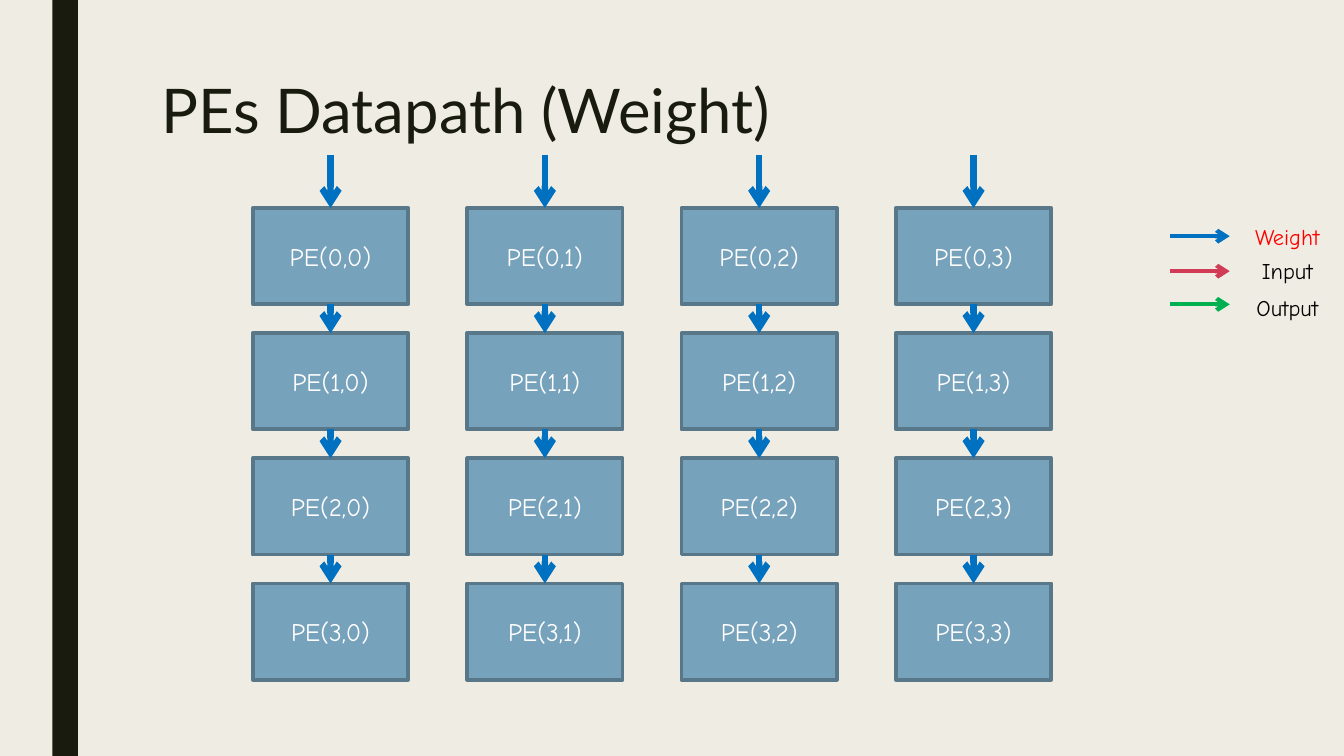
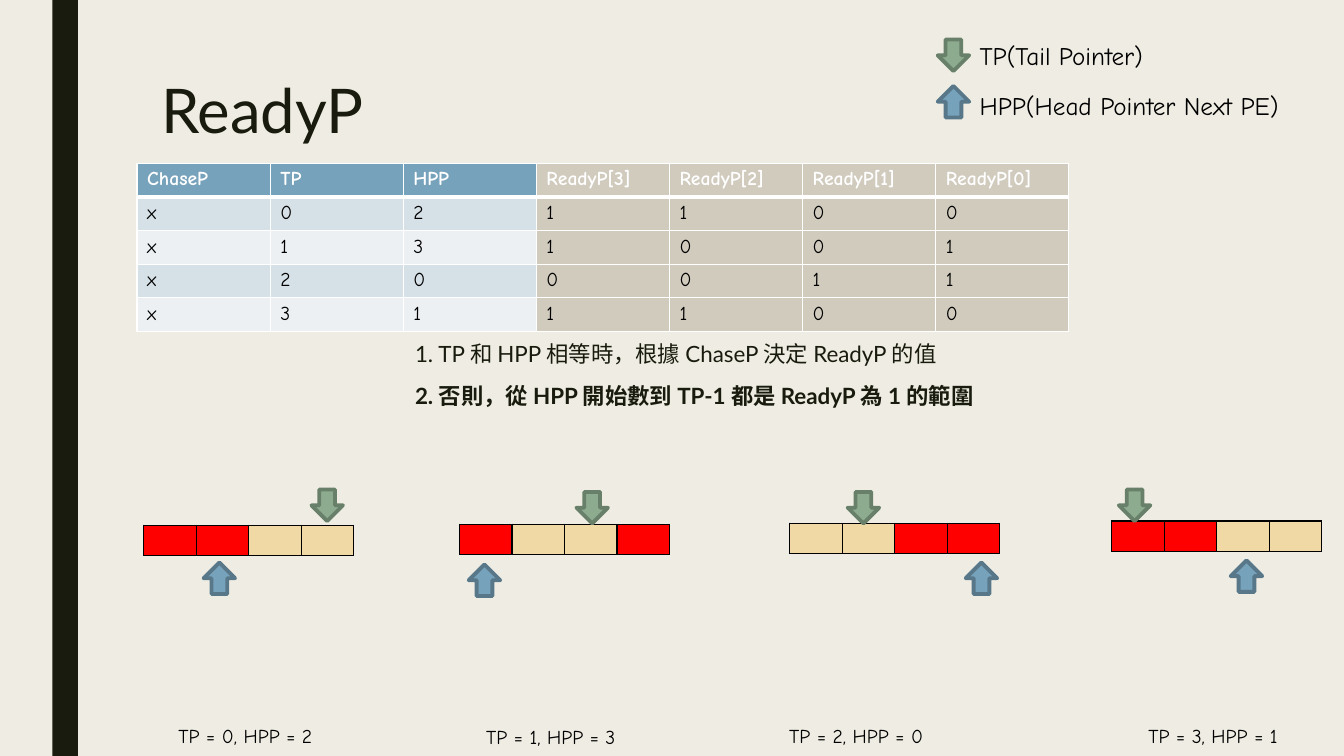
from dataclasses import dataclass
from itertools import product
from typing import NamedTuple

from pptx import Presentation
from pptx.dml.color import RGBColor
from pptx.enum.shapes import MSO_CONNECTOR as Connector, MSO_SHAPE as Preset
from pptx.enum.text import MSO_ANCHOR as Anchor, PP_ALIGN as Align
from pptx.oxml.ns import qn
from pptx.util import Pt
from lxml.etree import SubElement, Element


@dataclass(frozen=True)
class Theme:
    paper: str = "EFEDE3"
    ink: str = "191B0E"
    black: str = "000000"
    white: str = "FFFFFF"
    red: str = "FF0000"
    blue: str = "77A2BB"
    blue_edge: str = "58788A"
    green: str = "8DAB8E"
    green_edge: str = "687F69"
    weight: str = "0070C0"
    input: str = "D13B56"
    output: str = "00B050"
    stone: str = "D1CBBE"
    sand: str = "F0D9A5"
    stripes: tuple = ("D6E0E7", "ECF0F3")
    heading_font: str = "Lato"
    label_font: str = "Comic Neue"
    title_size: float = 44
    label_size: float = 18
    note_size: float = 16
    small_size: float = 14
    outline: float = 2.75


THEME = Theme()


class Style(NamedTuple):
    size: float
    color: str = THEME.black
    font: str = THEME.label_font
    align: Align = Align.LEFT
    bold: bool = False


class Frame(NamedTuple):
    left: float
    top: float
    width: float
    height: float

    def points(self) -> list:
        return [Pt(value) for value in self]


class LegendEntry(NamedTuple):
    label: str
    line_color: str
    text_color: str
    line_top: float
    text_top: float


class Case(NamedTuple):
    """One row of the truth table; ready lists ReadyP[3] to ReadyP[0]."""
    tail: int
    head: int
    ready: str


class Queue(NamedTuple):
    left: float
    top: float
    tail_left: float
    tail_top: float
    head_left: float
    head_top: float
    caption_left: float
    caption_top: float


LEGEND = [
    LegendEntry("Weight", THEME.weight, THEME.red, 168.7, 155.5),
    LegendEntry("Input", THEME.input, THEME.black, 193.7, 180),
    LegendEntry("Output", THEME.output, THEME.black, 217.4, 206.6),
]
CASES = [Case(0, 2, "1100"), Case(1, 3, "1001"), Case(2, 0, "0011"), Case(3, 1, "1100")]
QUEUES = [
    Queue(102.7, 375.1, 222.5, 349.7, 145.4, 401.8, 97.9, 513.4),
    Queue(328.3, 374.4, 411.8, 351.4, 334.8, 403.2, 316.1, 514.1),
    Queue(564.2, 373.7, 605.5, 351.4, 689.8, 401.8, 534.2, 513.4),
    Queue(794.2, 372.2, 799.2, 349.7, 879.1, 400.3, 789.1, 513.4),
]
NOTES = [
    "1. TP 和 HPP 相等時，根據 ChaseP 決定 ReadyP 的值",
    "2. 否則，從 HPP 開始數到 TP-1 都是 ReadyP 為 1 的範圍",
]


def rgb(color: str) -> RGBColor:
    return RGBColor.from_string(color)


def write(para, text: str, style: Style) -> None:
    para.text = text
    para.alignment = style.align
    font = para.font
    font.name, font.size, font.bold = style.font, Pt(style.size), style.bold
    font.color.rgb = rgb(style.color)


def add_text(page, frame: Frame, text: str, style: Style):
    box = page.shapes.add_textbox(*frame.points())
    box.text_frame.word_wrap = True
    write(box.text_frame.paragraphs[0], text, style)
    return box


def add_preset(page, preset: Preset, frame: Frame, fill: str, edge: str = ""):
    shape = page.shapes.add_shape(preset, *frame.points())
    shape.shadow.inherit = False
    shape.fill.solid()
    shape.fill.fore_color.rgb = rgb(fill)
    if edge:
        shape.line.color.rgb = rgb(edge)
        shape.line.width = Pt(THEME.outline)
    else:
        shape.line.fill.background()
    return shape


def add_arrow(page, start: tuple, end: tuple, color: str, width: float):
    arrow = page.shapes.add_connector(
        Connector.STRAIGHT, *(Pt(value) for value in (*start, *end)))
    arrow.line.color.rgb = rgb(color)
    arrow.line.width = Pt(width)
    SubElement(arrow.line._get_or_add_ln(), qn("a:tailEnd"), type="arrow")
    SubElement(arrow._element.spPr, qn("a:effectLst"))
    return arrow


def add_pointer(page, left: float, top: float, is_tail: bool) -> None:
    fill, edge = ((THEME.green, THEME.green_edge) if is_tail
                  else (THEME.blue, THEME.blue_edge))
    pointer = add_preset(page, Preset.DOWN_ARROW, Frame(left, top, 22.5, 22.5), fill, edge)
    pointer.rotation = 0 if is_tail else 180


def add_grid(page, frame: Frame, rows: int, columns: int):
    table = page.shapes.add_table(rows, columns, *frame.points()).table
    for column in table.columns:
        column.width = Pt(frame.width / columns)
    for row in table.rows:
        row.height = Pt(frame.height / rows)
    return table


def paint_cell(cell, fill: str, border: str, top: float = 1, bottom: float = 1) -> None:
    cell.fill.solid()
    cell.fill.fore_color.rgb = rgb(fill)
    properties = cell._tc.get_or_add_tcPr()
    widths = {"a:lnL": 1, "a:lnR": 1, "a:lnT": top, "a:lnB": bottom}
    for index, (side, width) in enumerate(widths.items()):
        line = Element(qn(side), w=str(Pt(width)))
        paint = SubElement(line, qn("a:solidFill"))
        SubElement(paint, qn("a:srgbClr"), val=border)
        properties.insert(index, line)


def add_page(deck, title: str):
    page = deck.slides.add_slide(deck.slide_layouts[6])
    add_preset(page, Preset.RECTANGLE, Frame(37.5, 0, 18.2, 540), THEME.ink)
    style = Style(THEME.title_size, THEME.ink, THEME.heading_font)
    box = add_text(page, Frame(108, 54, 756, 116.6), title, style)
    box.text_frame.paragraphs[0].line_spacing = 0.89
    return page


def add_processing_elements(page) -> None:
    left, top, width, height = 180.6, 148.6, 111, 68.7
    column_step, row_step, count = 153.1, 89.4, 4
    style = Style(THEME.label_size, THEME.white, align=Align.CENTER)
    boxes = {}
    for row, column in product(range(count), repeat=2):
        frame = Frame(left + column * column_step, top + row * row_step, width, height)
        box = add_preset(page, Preset.RECTANGLE, frame, THEME.blue, THEME.blue_edge)
        box.text_frame.vertical_anchor = Anchor.MIDDLE
        write(box.text_frame.paragraphs[0], f"PE({row},{column})", style)
        boxes[row, column] = box
    for (row, column), box in boxes.items():
        middle = left + column * column_step + width / 2
        arrow = add_arrow(page, (middle, 111), (middle, top), THEME.weight, 4.5)
        if row:
            arrow.begin_connect(boxes[row - 1, column], 2)
        arrow.end_connect(box, 0)


def add_datapath_page(deck) -> None:
    page = add_page(deck, "PEs Datapath (Weight)")
    add_processing_elements(page)
    for entry in LEGEND:
        add_arrow(page, (835.9, entry.line_top), (878.4, entry.line_top),
                  entry.line_color, 3)
        style = Style(THEME.note_size, entry.text_color, align=Align.CENTER)
        add_text(page, Frame(884.2, entry.text_top, 70.6, 26.6), entry.label, style)


def add_truth_table(page) -> None:
    header = ["ChaseP", "TP", "HPP", *(f"ReadyP[{bit}]" for bit in (3, 2, 1, 0))]
    rows = [header, *(["x", str(case.tail), str(case.head), *case.ready] for case in CASES)]
    table = add_grid(page, Frame(97.9, 116.6, 665.6, 118), len(rows), len(header))
    for row, texts in enumerate(rows):
        is_header = row == 0
        style = Style(THEME.small_size, THEME.white if is_header else THEME.black,
                      bold=is_header)
        input_fill = THEME.blue if is_header else THEME.stripes[(row - 1) % 2]
        for column, text in enumerate(texts):
            cell = table.cell(row, column)
            write(cell.text_frame.paragraphs[0], text, style)
            paint_cell(cell, input_fill if column < 3 else THEME.stone, THEME.white,
                       top=3 if row == 1 else 1, bottom=3 if is_header else 1)


def add_queue(page, queue: Queue, case: Case) -> None:
    table = add_grid(page, Frame(queue.left, queue.top, 150, 21.6), 1, len(case.ready))
    for column, bit in enumerate(case.ready):
        cell = table.cell(0, column)
        cell.margin_top = cell.margin_bottom = 0
        cell.text_frame.paragraphs[0].font.size = Pt(THEME.small_size)
        paint_cell(cell, THEME.red if bit == "1" else THEME.sand, THEME.black)
    add_pointer(page, queue.tail_left, queue.tail_top, is_tail=True)
    add_pointer(page, queue.head_left, queue.head_top, is_tail=False)
    add_text(page, Frame(queue.caption_left, queue.caption_top, 154.8, 24.2),
             f"TP = {case.tail}, HPP = {case.head}",
             Style(THEME.small_size, align=Align.CENTER))


def add_notes(page) -> None:
    style = Style(THEME.note_size, THEME.ink, THEME.heading_font)
    box = add_text(page, Frame(289.4, 241.2, 490.3, 63.4), NOTES[0], style)
    first = box.text_frame.paragraphs[0]
    second = box.text_frame.add_paragraph()
    write(second, NOTES[1], style._replace(bold=True))
    second.space_before = Pt(10)
    for para in (first, second):
        para.line_spacing = 0.94
        para.space_after = Pt(2)


def add_ready_page(deck) -> None:
    page = add_page(deck, "ReadyP")
    add_truth_table(page)
    add_pointer(page, 669.8, 28.3, is_tail=True)
    add_pointer(page, 669.8, 61.4, is_tail=False)
    style = Style(THEME.label_size)
    add_text(page, Frame(692.6, 25.2, 154.8, 29), "TP(Tail Pointer)", style)
    add_text(page, Frame(692.6, 61.2, 251.3, 29), "HPP(Head Pointer Next PE)", style)
    for queue, case in zip(QUEUES, CASES):
        add_queue(page, queue, case)
    add_notes(page)


def main() -> None:
    deck = Presentation()
    deck.slide_width, deck.slide_height = Pt(960), Pt(540)
    background = deck.slide_master.background.fill
    background.solid()
    background.fore_color.rgb = rgb(THEME.paper)
    add_datapath_page(deck)
    add_ready_page(deck)
    deck.save("out.pptx")


if __name__ == "__main__":
    main()
